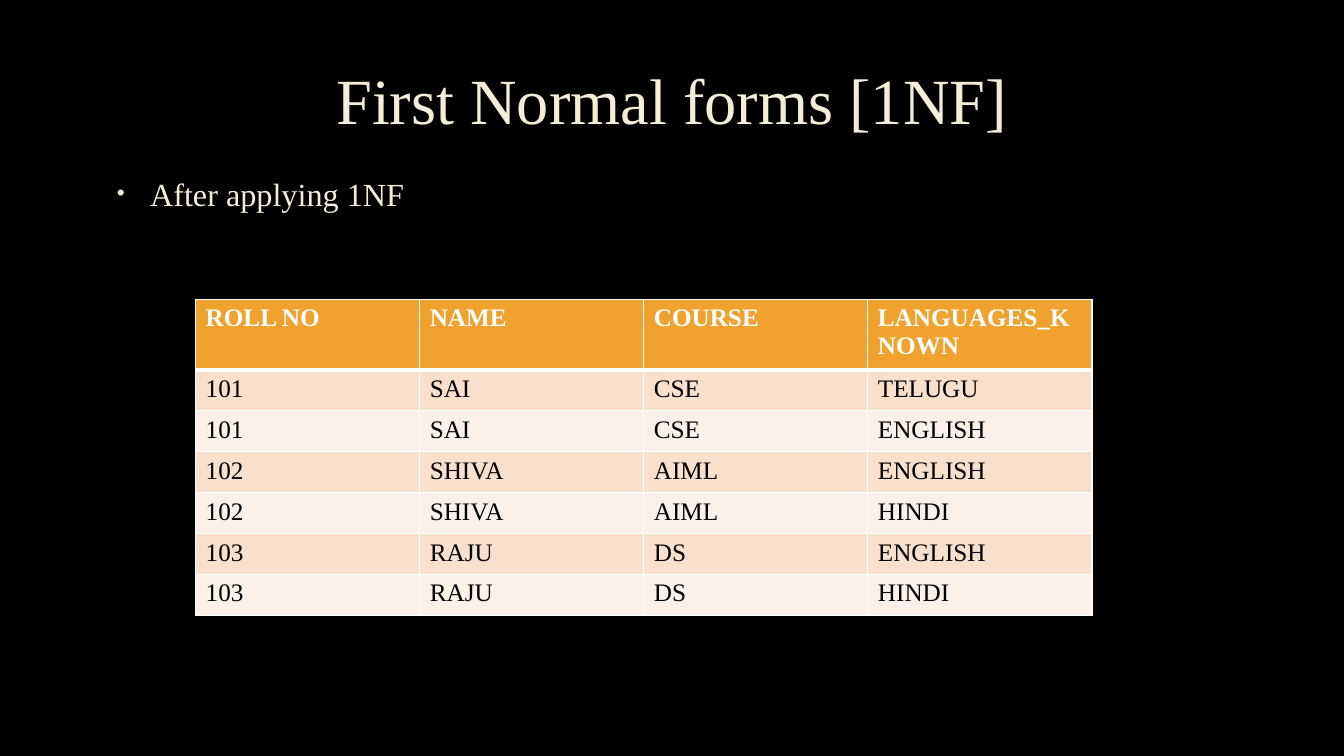
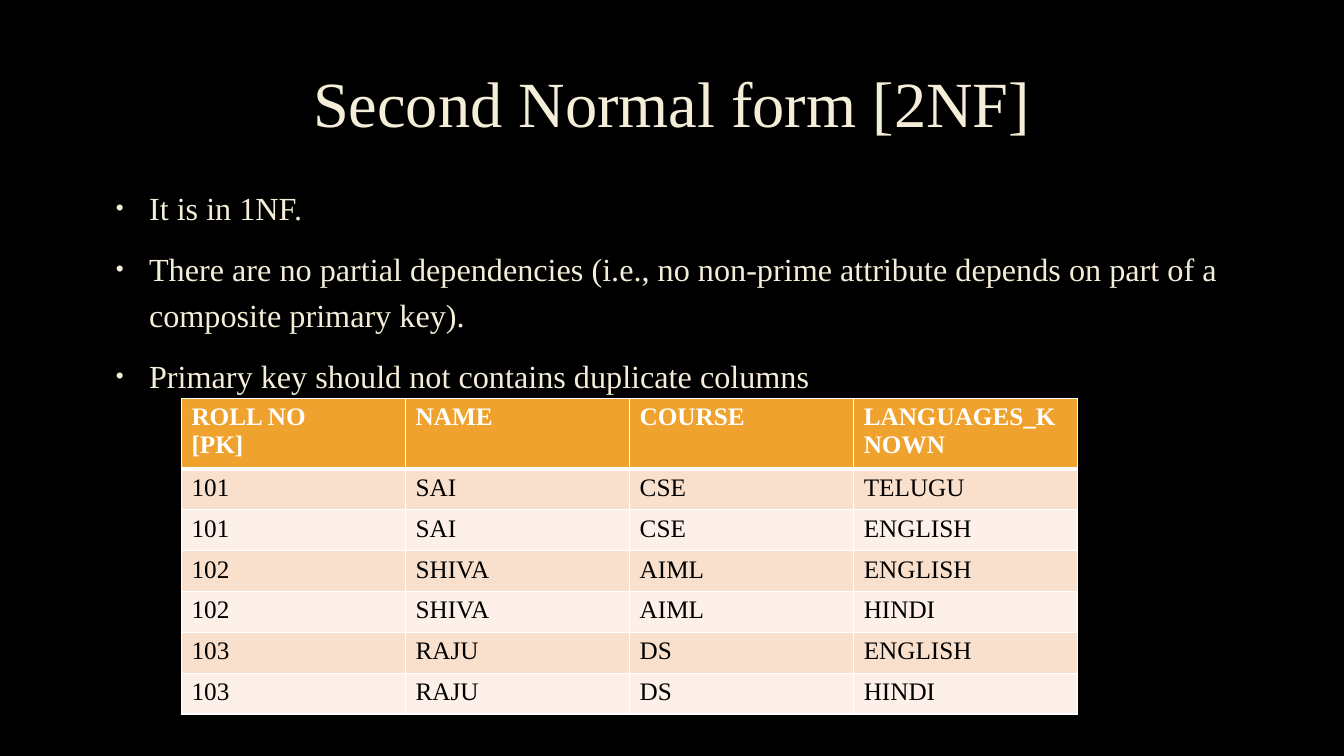
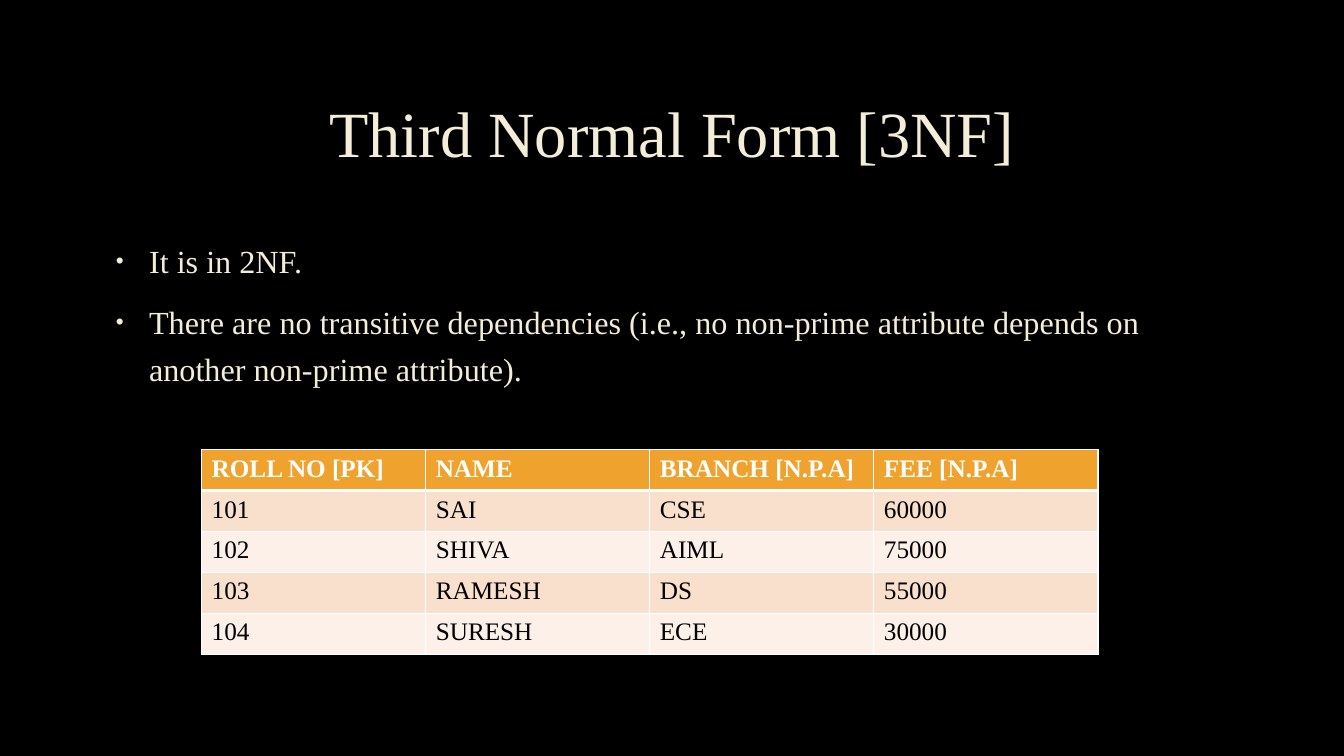
from dataclasses import dataclass

import lxml.etree
import pptx
import pptx.dml.color
import pptx.enum.text
import pptx.oxml.ns
import pptx.util

Inches = pptx.util.Inches
Pt = pptx.util.Pt
qn = pptx.oxml.ns.qn


@dataclass(frozen=True)
class Theme:
    font: str = "Times New Roman"
    background: str = "000000"
    cream: str = "F4EDD8"
    outline: str = "404040"
    header: str = "F0A22E"
    bands: tuple = ("F9E0CD", "FCF0E8")
    header_text: str = "FFFFFF"
    cell_text: str = "000000"
    border: str = "FFFFFF"
    title_size: float = 46
    body_size: float = 23
    cell_size: float = 18
    thin: float = 1
    thick: float = 3


THEME = Theme()

LANGUAGE_ROWS = [
    ("101", "SAI", "CSE", "TELUGU"),
    ("101", "SAI", "CSE", "ENGLISH"),
    ("102", "SHIVA", "AIML", "ENGLISH"),
    ("102", "SHIVA", "AIML", "HINDI"),
    ("103", "RAJU", "DS", "ENGLISH"),
    ("103", "RAJU", "DS", "HINDI"),
]
FEE_ROWS = [
    ("101", "SAI", "CSE", "60000"),
    ("102", "SHIVA", "AIML", "75000"),
    ("103", "RAMESH", "DS", "55000"),
    ("104", "SURESH", "ECE", "30000"),
]

SLIDES = [
    dict(
        title="First Normal forms [1NF]",
        title_box=(1, 0.34, 11.32, 1.38),
        bullets=["After applying 1NF"],
        body_box=(1.01, 1.6, 11.32, 4.06),
        rows=[("ROLL NO", "NAME", "COURSE", "LANGUAGES_KNOWN")] + LANGUAGE_ROWS,
        table_box=(1.94, 2.97, 8.89, 2.84),
    ),
    dict(
        title="Second Normal form [2NF]",
        title_box=(1, 0.37, 11.32, 1.38),
        bullets=[
            "It is in 1NF.",
            "There are no partial dependencies (i.e., no non-prime attribute "
            "depends on part of a composite primary key).",
            "Primary key should not contains duplicate columns",
        ],
        body_box=(1, 1.74, 11.32, 4.06),
        rows=[("ROLL NO\n[PK]", "NAME", "COURSE", "LANGUAGES_KNOWN")] + LANGUAGE_ROWS,
        table_box=(1.8, 3.95, 8.89, 2.84),
    ),
    dict(
        title="Third Normal Form [3NF]",
        title_box=(1, 0.67, 11.32, 1.38),
        bullets=[
            "It is in 2NF.",
            "There are no transitive dependencies (i.e., no non-prime attribute "
            "depends on another non-prime attribute).",
        ],
        body_box=(1, 2.27, 11.32, 4.06),
        rows=[("ROLL NO [PK]", "NAME", "BRANCH [N.P.A]", "FEE [N.P.A]")] + FEE_ROWS,
        table_box=(2, 4.46, 8.89, 2.03),
    ),
]


def rgb(color):
    return pptx.dml.color.RGBColor.from_string(color)


def add_line(parent, tag, index, color, width):
    ln = lxml.etree.Element(qn(tag), w=str(Pt(width)))
    fill = lxml.etree.SubElement(ln, qn("a:solidFill"))
    clr = lxml.etree.SubElement(fill, qn("a:srgbClr"), val=color)
    parent.insert(index, ln)
    return clr


def add_run(p, text, size, color, bold=False):
    r = p.add_run()
    r.text = text
    r.font.name = THEME.font
    r.font.size = Pt(size)
    r.font.bold = bold
    r.font.color.rgb = rgb(color)
    return r


def add_cream_run(p, text, size):
    r = add_run(p, text, size, THEME.cream)
    clr = add_line(r.font._element, "a:ln", 0, THEME.outline, 0.75)
    lxml.etree.SubElement(clr, qn("a:alpha"), val="10000")


def add_text_frame(slide, box):
    sp = slide.shapes.add_textbox(*map(Inches, box))
    tf = sp.text_frame
    tf.word_wrap = True
    return tf


def add_title(slide, box, text):
    tf = add_text_frame(slide, box)
    tf.vertical_anchor = pptx.enum.text.MSO_ANCHOR.MIDDLE
    p = tf.paragraphs[0]
    p.alignment = pptx.enum.text.PP_ALIGN.CENTER
    p.line_spacing = 0.9
    add_cream_run(p, text, THEME.title_size)


def set_bullet(p):
    pPr = p._p.get_or_add_pPr()
    pPr.set("marL", str(Inches(0.38)))
    pPr.set("indent", str(Inches(-0.33)))
    clr = lxml.etree.SubElement(pPr, qn("a:buClr"))
    lxml.etree.SubElement(clr, qn("a:srgbClr"), val=THEME.cream)
    lxml.etree.SubElement(pPr, qn("a:buSzPct"), val="70000")
    lxml.etree.SubElement(pPr, qn("a:buFont"), typeface="Arial")
    lxml.etree.SubElement(pPr, qn("a:buChar"), char="•")


def add_bullets(slide, box, bullets):
    tf = add_text_frame(slide, box)
    for i, text in enumerate(bullets):
        p = tf.add_paragraph() if i else tf.paragraphs[0]
        p.line_spacing = 1.2
        p.space_before = Pt(4.6)
        p.space_after = Pt(6)
        set_bullet(p)
        add_cream_run(p, text, THEME.body_size)


def fill_cell(cell, text, row):
    is_header = row == 0
    cell.fill.solid()
    cell.fill.fore_color.rgb = rgb(THEME.header if is_header else THEME.bands[(row - 1) % 2])
    top = THEME.thick if row == 1 else THEME.thin
    bottom = THEME.thick if is_header else THEME.thin
    sides = {"a:lnL": THEME.thin, "a:lnR": THEME.thin, "a:lnT": top, "a:lnB": bottom}
    tcPr = cell._tc.get_or_add_tcPr()
    for i, (tag, width) in enumerate(sides.items()):
        add_line(tcPr, tag, i, THEME.border, width)
    color = THEME.header_text if is_header else THEME.cell_text
    tf = cell.text_frame
    for i, line in enumerate(text.split("\n")):
        p = tf.add_paragraph() if i else tf.paragraphs[0]
        add_run(p, line, THEME.cell_size, color, is_header)


def add_grid(slide, box, rows):
    table = slide.shapes.add_table(len(rows), len(rows[0]), *map(Inches, box)).table
    for i, row in enumerate(rows):
        for j, text in enumerate(row):
            fill_cell(table.cell(i, j), text, i)


def add_normal_form_slide(prs, content):
    slide = prs.slides.add_slide(prs.slide_layouts[6])
    add_title(slide, content["title_box"], content["title"])
    add_bullets(slide, content["body_box"], content["bullets"])
    add_grid(slide, content["table_box"], content["rows"])


def main():
    prs = pptx.Presentation()
    prs.slide_width = Inches(13.33)
    prs.slide_height = Inches(7.5)
    fill = prs.slide_master.background.fill
    fill.solid()
    fill.fore_color.rgb = rgb(THEME.background)
    for content in SLIDES:
        add_normal_form_slide(prs, content)
    prs.save("out.pptx")


if __name__ == "__main__":
    main()
